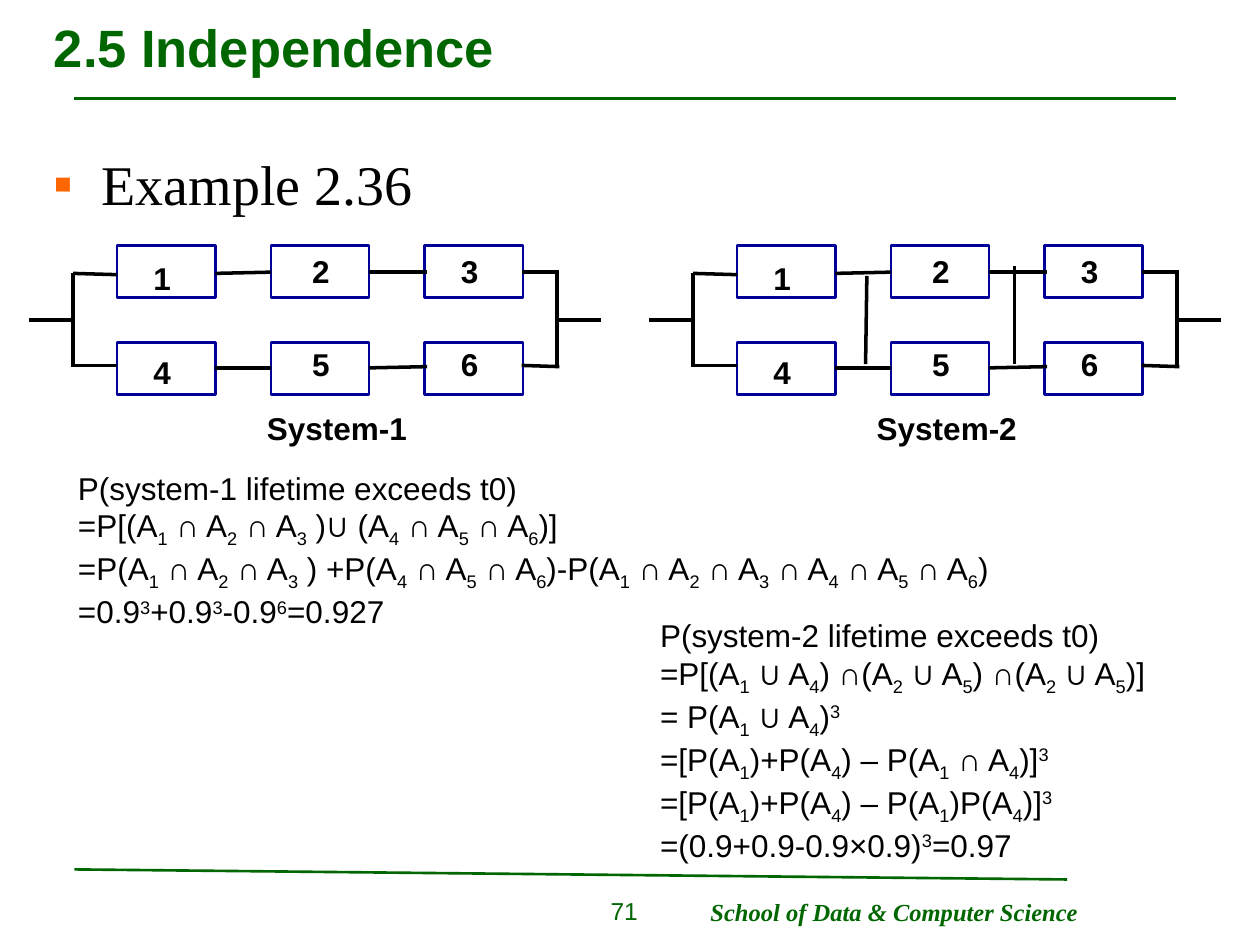
from dataclasses import dataclass

from lxml import etree
from pptx import Presentation
from pptx.dml.color import RGBColor
from pptx.enum import shapes, text
from pptx.oxml import ns
from pptx.util import Inches, Pt


@dataclass(frozen=True)
class Theme:
    green: RGBColor = RGBColor(0x00, 0x66, 0x00)
    orange: str = "FF6600"
    navy: RGBColor = RGBColor(0x00, 0x00, 0x99)
    black: RGBColor = RGBColor(0x00, 0x00, 0x00)
    sans: str = "Arial"
    serif: str = "Times New Roman"
    title: int = 30
    example: int = 32
    body: int = 18
    footer: int = 14


theme = Theme()


def add_text(parent, place, lines, size=theme.body, color=theme.black,
             font=theme.sans, bold=False, italic=False, wrap=False):
    """Add a text box; _ lowers and ^ raises the one character after it."""
    box = parent.shapes.add_textbox(*map(Inches, place))
    frame = box.text_frame
    frame.word_wrap = wrap
    for number, line in enumerate(lines):
        paragraph = frame.add_paragraph() if number else frame.paragraphs[0]
        for piece in line.replace("_", "|_").replace("^", "|^").split("|"):
            shift = {"_": "-25000", "^": "30000"}.get(piece[0])
            if shift:
                script = paragraph.add_run()
                script.text = piece[1]
                script.font._element.set("baseline", shift)
                piece = piece[2:]
            if piece:
                paragraph.add_run().text = piece
        for run in paragraph.runs:
            run.font.name = font
            run.font.size = Pt(size)
            run.font.bold = bold
            run.font.italic = italic
            run.font.color.rgb = color
    return frame


def add_line(parent, ends, color=theme.black, width=2):
    line = parent.shapes.add_connector(
        shapes.MSO_CONNECTOR.STRAIGHT, *map(Inches, ends))
    line.line.color.rgb = color
    line.line.width = Pt(width)
    etree.SubElement(line._element.spPr, ns.qn("a:effectLst"))


deck = Presentation()
deck.slide_width, deck.slide_height = Inches(10), Inches(7.5)
slide = deck.slides.add_slide(deck.slide_layouts[6])

# Rules and footer
add_line(slide, (0.59, 0.78, 9.33, 0.78), theme.green, 1.5)
add_line(slide, (0.59, 6.9, 8.47, 6.98), theme.green, 1.5)
add_text(slide, (5.54, 7.07, 3.12, 0.34), ["School of Data & Computer Science"],
         theme.footer, theme.green, theme.serif, bold=True, italic=True)
page = add_text(slide, (4.14, 7.06, 1.02, 0.36), ["71"],
                theme.footer, theme.green, wrap=True)
page.paragraphs[0].alignment = text.PP_ALIGN.RIGHT

# Title
title = add_text(slide, (0.33, 0.03, 9.34, 0.68), ["2.5 Independence"],
                 theme.title, theme.green, bold=True, wrap=True)
title.vertical_anchor = text.MSO_ANCHOR.MIDDLE

# Example heading with its square bullet
example = add_text(slide, (0.33, 1.14, 9.34, 0.6), ["Example 2.36"],
                   theme.example, font=theme.serif, wrap=True)
bullet = example.paragraphs[0]._p.get_or_add_pPr()
bullet.set("marL", str(Inches(0.38)))
bullet.set("indent", str(-Inches(0.38)))
bullet_color = etree.SubElement(bullet, ns.qn("a:buClr"))
etree.SubElement(bullet_color, ns.qn("a:srgbClr"), val=theme.orange)
etree.SubElement(bullet, ns.qn("a:buFont"), typeface=theme.sans)
etree.SubElement(bullet, ns.qn("a:buChar"), char="▪")

# Derivations
add_text(slide, (0.52, 3.67, 7.55, 1.38), [
    "P(system-1 lifetime exceeds t0)",
    "=P[(A_1 ∩ A_2 ∩ A_3 )∪ (A_4 ∩ A_5 ∩ A_6)]",
    "=P(A_1 ∩ A_2 ∩ A_3 ) +P(A_4 ∩ A_5 ∩ A_6)"
    "-P(A_1 ∩ A_2 ∩ A_3 ∩ A_4 ∩ A_5 ∩ A_6)",
    "=0.9^3+0.9^3-0.9^6=0.927",
])
add_text(slide, (5.14, 4.84, 4.09, 2.07), [
    "P(system-2 lifetime exceeds t0)",
    "=P[(A_1 ∪ A_4) ∩(A_2 ∪ A_5) ∩(A_2 ∪ A_5)]",
    "= P(A_1 ∪ A_4)^3",
    "=[P(A_1)+P(A_4) – P(A_1 ∩ A_4)]^3",
    "=[P(A_1)+P(A_4) – P(A_1)P(A_4)]^3",
    "=(0.9+0.9-0.9×0.9)^3=0.97",
])

# Circuits: both share one wiring, the second adds cross links
wires = [
    (0.58, 2.17, 0.93, 2.18), (1.71, 2.17, 2.15, 2.16),
    (2.93, 2.16, 3.39, 2.16), (4.14, 2.16, 4.44, 2.16),
    (0.58, 2.9, 0.93, 2.9), (1.71, 2.92, 2.15, 2.92),
    (2.93, 2.92, 3.39, 2.91), (4.14, 2.9, 4.44, 2.91),
    (0.58, 2.91, 0.58, 2.17), (4.42, 2.9, 4.42, 2.17),
    (0.23, 2.54, 0.58, 2.54), (4.42, 2.54, 4.77, 2.54),
]
cross_links = [(1.96, 2.19, 1.95, 2.89), (3.13, 2.11, 3.13, 2.89)]
digit_columns = [(1.12, 0.06), (2.38, 0), (3.56, 0)]  # left, drop

for name, shift, name_left, links in [("System-1", 0, 2.02, []),
                                      ("System-2", 4.92, 6.86, cross_links)]:
    system = slide.shapes.add_group_shape()
    for x1, y1, x2, y2 in links:
        add_line(system, (x1 + shift, y1, x2 + shift, y2))
    for row in range(2):
        for column in range(3):
            component = system.shapes.add_shape(
                shapes.MSO_SHAPE.RECTANGLE,
                Inches(0.93 + 1.22 * column + shift), Inches(1.95 + 0.77 * row),
                Inches(0.78), Inches(0.41))
            component.shadow.inherit = False
            component.fill.background()
            component.line.color.rgb = theme.navy
            component.line.width = Pt(1.5)
    for x1, y1, x2, y2 in wires:
        add_line(system, (x1 + shift, y1, x2 + shift, y2))
    for row in range(2):
        for column, (left, drop) in enumerate(digit_columns):
            add_text(system, (left + shift, 1.95 + 0.74 * row + drop, 0.34, 0.4),
                     [str(3 * row + column + 1)], bold=True)
    add_text(system, (name_left, 3.2, 1.31, 0.4), [name], bold=True)

deck.save("out.pptx")
